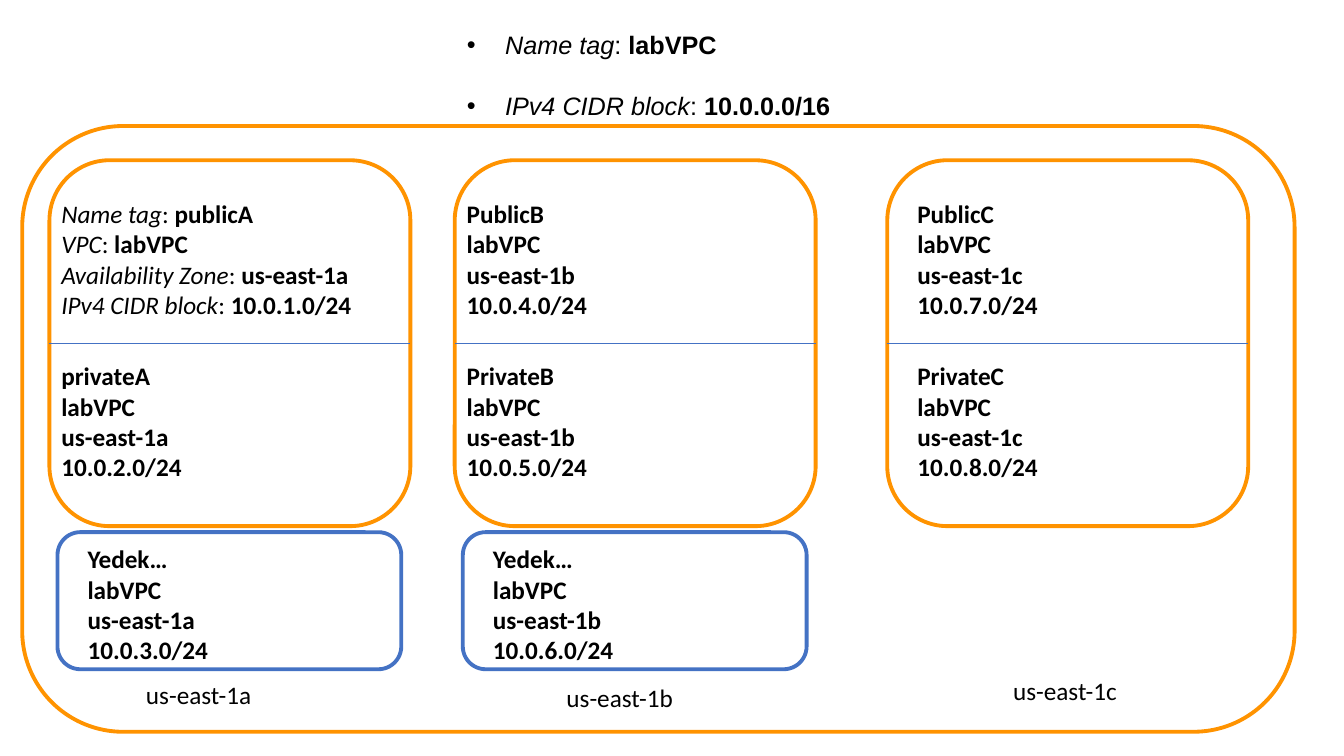
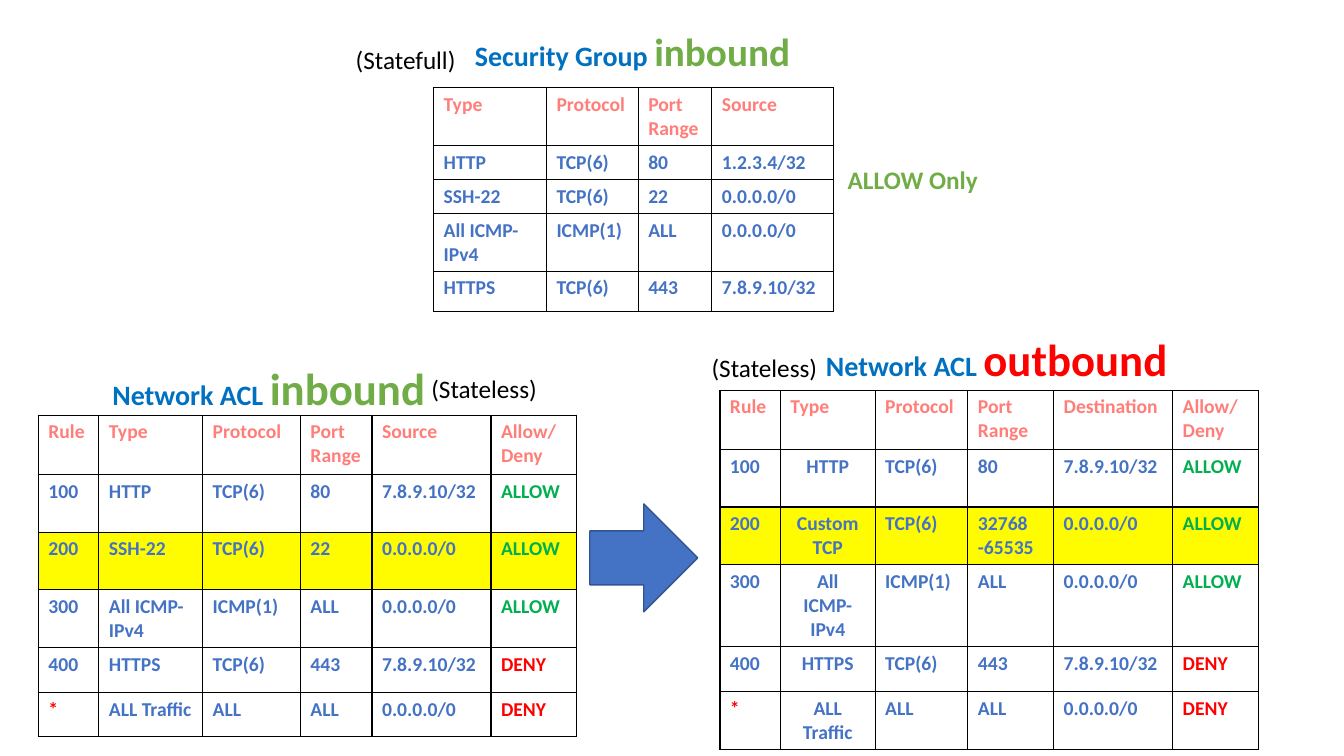
from lxml import etree
from pptx import Presentation
from pptx.dml.color import RGBColor
from pptx.enum.shapes import MSO_CONNECTOR, MSO_SHAPE as SHAPE
from pptx.enum.text import MSO_ANCHOR as ANCHOR, MSO_AUTO_SIZE as AUTOSIZE, PP_ALIGN as ALIGN
from pptx.oxml.ns import qn
from pptx.util import Inches, Pt

COLORS = {
    "text": "000000", "orange": "FF9300", "blue": "4472C4", "arrow edge": "325491",
    "title": "0070C0", "green": "70AD47", "red": "FF0000", "allow": "00B050",
    "header": "FF7E79", "highlight": "FFFC00", "border": "000000",
}
VALUE_COLORS = {"ALLOW": "allow", "DENY": "red", "*": "red"}
BASE_LOOK = {"name": "Calibri", "size": Pt(18), "bold": False, "italic": False}
ACL_ROWS = [0.59, 0.57, 0.57, 0.57, 0.45, 0.43]


def rgb(name):
    """Return the palette colour with this name."""
    return RGBColor.from_string(COLORS[name])


def write_span(para, text, color="text", **look):
    """Add one formatted run to a paragraph."""
    span = para.add_run()
    span.text = text
    for key, value in {**BASE_LOOK, **look}.items():
        setattr(span.font, key, value)
    span.font.color.rgb = rgb(color)


def write_lines(frame, lines, **layout):
    """Write each line, a list of (text, look) pairs, as a paragraph."""
    for index, line in enumerate(lines):
        para = frame.add_paragraph() if index else frame.paragraphs[0]
        for key, value in layout.items():
            setattr(para, key, value)
        for text, look in line:
            write_span(para, text, **look)


def bold_lines(*texts, **look):
    """Return lines of one bold run each."""
    return [[(text, {"bold": True, **look})] for text in texts]


def tagged_line(tag, value, **look):
    """Return a line with an italic tag and a bold value."""
    return [(tag, {"italic": True, **look}), (": ", look), (value, {"bold": True, **look})]


def place(shape, left, top, width, height):
    """Move a shape to a box given in inches."""
    box = {"left": left, "top": top, "width": width, "height": height}
    for key, value in box.items():
        setattr(shape, key, Inches(value))


def add_text(page, box, lines, wrap=True, **layout):
    """Add a text box holding the given lines."""
    frame = page.shapes.add_textbox(*map(Inches, box)).text_frame
    frame.word_wrap = wrap
    frame.auto_size = AUTOSIZE.SHAPE_TO_FIT_TEXT
    write_lines(frame, lines, **layout)


def add_label(page, left, top, text, width=1.26, **look):
    """Add a one-line label that does not wrap."""
    add_text(page, (left, top, width, 0.4), [[(text, look)]], wrap=False)


def add_figure(page, kind, box, line, weight, fill=None):
    """Add a preset shape with its outline and optional fill."""
    figure = page.shapes.add_shape(kind, *map(Inches, box))
    figure.shadow.inherit = False
    figure.line.color.rgb = rgb(line)
    figure.line.width = Pt(weight)
    if fill:
        figure.fill.solid()
        figure.fill.fore_color.rgb = rgb(fill)
    else:
        figure.fill.background()
    return figure


def add_divider(page, frame):
    """Join the left and right sides of a frame with a thin line."""
    divider = page.shapes.add_connector(MSO_CONNECTOR.STRAIGHT, 0, 0, 0, 0)
    divider.begin_connect(frame, 1)
    divider.end_connect(frame, 3)
    divider.line.color.rgb = rgb("blue")
    divider.line.width = Pt(0.5)
    etree.SubElement(divider._element.spPr, qn("a:effectLst"))


def add_zone(page, left, top, public, private, inset=0.02, spare=None):
    """Draw one availability zone with its subnets."""
    for offset, lines in ((0.33, public), (1.94, private)):
        add_text(page, (left + inset, top + offset, 3.37, 1.31), lines)
    frame = add_figure(page, SHAPE.ROUNDED_RECTANGLE, (left, top, 3.58, 3.63), "orange", 2.75)
    add_divider(page, frame)
    if spare:
        box = (left + 0.08, top + 3.69, 3.41, 1.36)
        add_figure(page, SHAPE.ROUNDED_RECTANGLE, box, "blue", 2.75)
        add_text(page, (left + 0.28, top + 3.755, 3.58, 1.31), spare)


def set_list(body, box, lines):
    """Place the body placeholder and fill it with a bulleted list."""
    place(body, *box)
    frame = body.text_frame
    frame.auto_size = AUTOSIZE.NONE
    frame.vertical_anchor = ANCHOR.TOP
    write_lines(frame, lines, space_before=Pt(0), space_after=Pt(22))
    for para in frame.paragraphs:
        properties = para._p.get_or_add_pPr()
        properties.set("marL", str(Inches(0.38)))
        properties.set("indent", str(-Inches(0.38)))


def build_network(deck):
    """Build the slide with the network and its three zones."""
    page = deck.slides.add_slide(deck.slide_layouts[1])
    title = page.shapes.title._element
    title.getparent().remove(title)
    set_list(page.placeholders[1], (4.53, 0.24, 6.67, 1.01), [
        tagged_line("Name tag", "labVPC", name="Arial"),
        tagged_line("IPv4 CIDR block", "10.0.0.0/16", name="Arial"),
    ])
    add_figure(page, SHAPE.ROUNDED_RECTANGLE, (0.22, 1.25, 12.62, 6.01), "orange", 2.75)

    def subnet(name, letter, number):
        return bold_lines(name, "labVPC", f"us-east-1{letter}", f"10.0.{number}.0/24")

    tagged = [
        tagged_line("Name tag", "publicA"),
        tagged_line("VPC", "labVPC"),
        tagged_line("Availability Zone", "us-east-1a"),
        tagged_line("IPv4 CIDR block", "10.0.1.0/24"),
    ]
    top = 1.59
    add_zone(page, 0.49, top, tagged, subnet("privateA", "a", 2), spare=subnet("Yedek…", "a", 3))
    add_zone(page, 4.51, top, subnet("PublicB", "b", 4), subnet("PrivateB", "b", 5),
             spare=subnet("Yedek…", "b", 6))
    add_zone(page, 8.8, top, subnet("PublicC", "c", 7), subnet("PrivateC", "c", 8), inset=0.2)
    for letter, left, label_top in (("a", 1.35, 6.69), ("b", 5.52, 6.72), ("c", 9.95, 6.65)):
        add_label(page, left, label_top, f"us-east-1{letter}")


def set_borders(cell):
    """Give a cell thin solid borders on all sides."""
    properties = cell._tc.get_or_add_tcPr()
    for index, side in enumerate(("lnL", "lnR", "lnT", "lnB")):
        line = etree.Element(qn(f"a:{side}"), w=str(Pt(1)))
        fill = etree.SubElement(line, qn("a:solidFill"))
        etree.SubElement(fill, qn("a:srgbClr"), val=COLORS["border"])
        properties.insert(index, line)


def add_rules(page, left, top, widths, heights, rows, highlight=None, centered=None):
    """Add a rule table, with one row marked and one column centred if asked."""
    box = (left, top, sum(widths), sum(heights))
    table = page.shapes.add_table(len(rows), len(widths), *map(Inches, box)).table
    table.first_row = table.horz_banding = False
    for column, width in zip(table.columns, widths):
        column.width = Inches(width)
    for row, height in zip(table.rows, heights):
        row.height = Inches(height)
    for row_index, values in enumerate(rows):
        for column_index, value in enumerate(values):
            cell = table.cell(row_index, column_index)
            if row_index == highlight:
                cell.fill.solid()
                cell.fill.fore_color.rgb = rgb("highlight")
            else:
                cell.fill.background()
            set_borders(cell)
            color = VALUE_COLORS.get(value, "blue") if row_index else "header"
            middle = row_index and column_index == centered
            write_lines(cell.text_frame, bold_lines(*value.split("\n"), size=Pt(14), color=color),
                        alignment=ALIGN.CENTER if middle else ALIGN.LEFT)


def heading_line(subject, direction, size, color):
    """Return a heading with a large coloured direction word."""
    return [[(f" {subject} ", {"bold": True, "size": Pt(20), "color": "title"}),
             (direction, {"bold": True, "size": Pt(size), "color": color})]]


def build_rules(deck):
    """Build the slide comparing security group and ACL rules."""
    page = deck.slides.add_slide(deck.slide_layouts[5])
    title = page.shapes.title
    place(title, 3.99, 0.22, 4.59, 0.57)
    title.text_frame.auto_size = AUTOSIZE.NONE
    title.text_frame.vertical_anchor = ANCHOR.TOP
    write_lines(title.text_frame, heading_line("Security Group", "inbound ", 28, "green"),
                alignment=ALIGN.CENTER)
    add_rules(page, 4.3, 0.87, [1.12, 0.91, 0.73, 1.21], [0.34, 0.31, 0.31, 0.4, 0.4], [
        ["Type", "Protocol", "Port\nRange", "Source"],
        ["HTTP", "TCP(6)", "80", "1.2.3.4/32"],
        ["SSH-22", "TCP(6)", "22", "0.0.0.0/0"],
        ["All ICMP-IPv4", "ICMP(1)", "ALL", "0.0.0.0/0"],
        ["HTTPS", "TCP(6)", "443", "7.8.9.10/32"],
    ])

    def acl_rows(peer, kind, port):
        return [
            ["Rule", "Type", "Protocol", "Port\nRange", peer, "Allow/\nDeny"],
            ["100", "HTTP", "TCP(6)", "80", "7.8.9.10/32", "ALLOW"],
            ["200", kind, "TCP(6)", port, "0.0.0.0/0", "ALLOW"],
            ["300", "All ICMP-IPv4", "ICMP(1)", "ALL", "0.0.0.0/0", "ALLOW"],
            ["400", "HTTPS", "TCP(6)", "443", "7.8.9.10/32", "DENY"],
            ["*", "ALL Traffic", "ALL", "ALL", "0.0.0.0/0", "DENY"],
        ]

    add_rules(page, 0.38, 4.12, [0.6, 1.03, 0.97, 0.71, 1.18, 0.85], ACL_ROWS,
              acl_rows("Source", "SSH-22", "22"), highlight=2)
    add_rules(page, 7.14, 3.87, [0.6, 0.94, 0.92, 0.85, 1.18, 0.85], ACL_ROWS,
              acl_rows("Destination", "Custom TCP", "32768 -65535"), highlight=2, centered=1)
    for left, top, direction, color in ((0.72, 3.53, "inbound", "green"),
                                        (7.94, 3.24, "outbound", "red")):
        add_text(page, (left, top, 3.83, 0.64), heading_line("Network ACL", direction, 32, color),
                 alignment=ALIGN.CENTER)
    add_figure(page, SHAPE.RIGHT_ARROW, (5.85, 5, 1.07, 1.07), "arrow edge", 1, fill="blue")
    add_label(page, 3.43, 0.39, "(Statefull)", width=1.2)
    for left, top in ((6.96, 3.45), (4.18, 3.65)):
        add_label(page, left, top, "(Stateless)")
    add_label(page, 8.31, 1.58, "ALLOW Only", width=1.5, bold=True, color="green")


def main():
    """Build and save the deck."""
    deck = Presentation()
    deck.slide_width, deck.slide_height = Inches(13.33), Inches(7.5)
    build_network(deck)
    build_rules(deck)
    deck.save("out.pptx")


if __name__ == "__main__":
    main()
